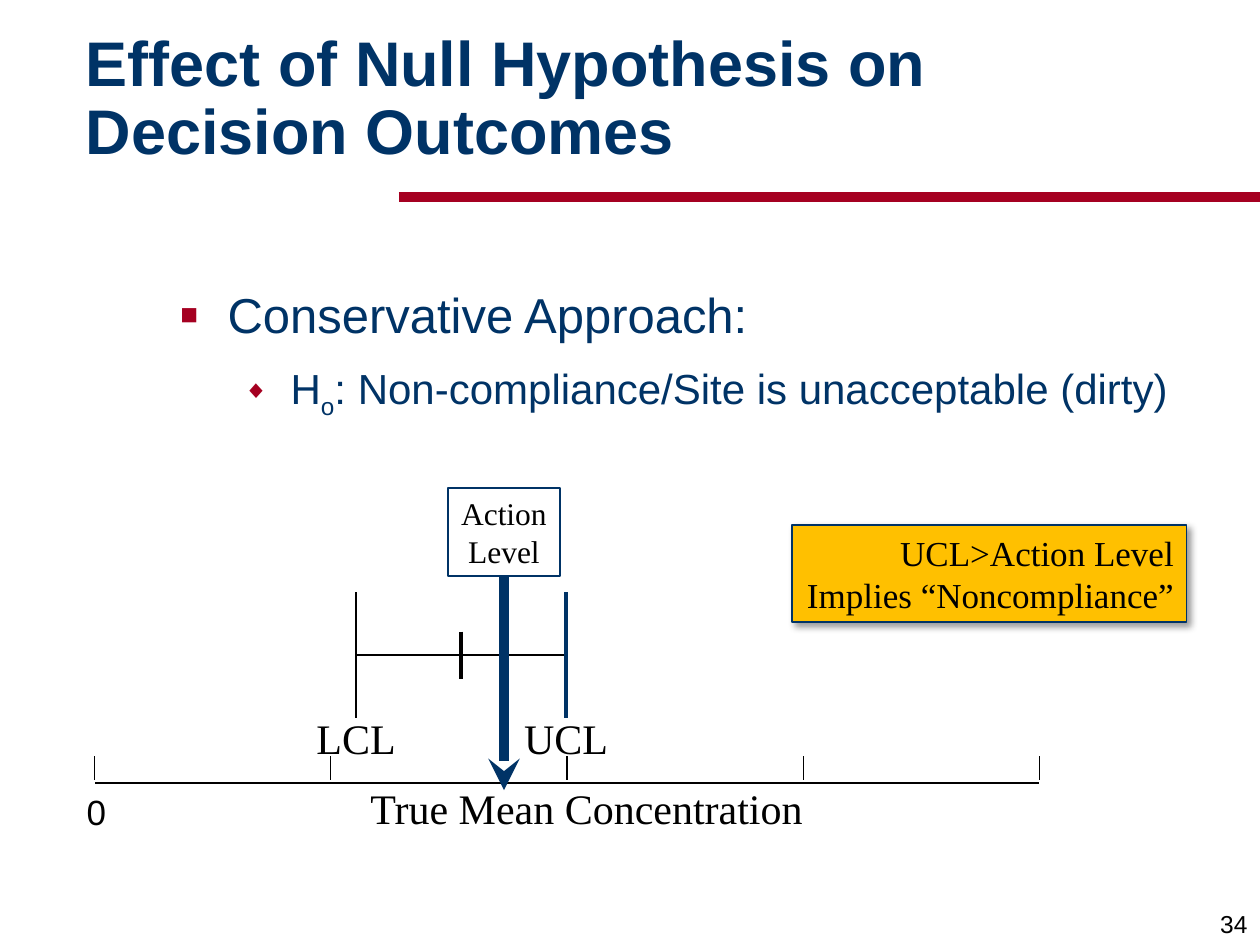
from lxml import etree
from pptx import Presentation
from pptx.dml.color import RGBColor
from pptx.enum.shapes import MSO_CONNECTOR, MSO_SHAPE
from pptx.enum.text import MSO_ANCHOR, PP_ALIGN
from pptx.oxml import parse_xml
from pptx.oxml.ns import qn
from pptx.util import Pt

STRAIGHT, RECTANGLE = MSO_CONNECTOR.STRAIGHT, MSO_SHAPE.RECTANGLE
LEFT, CENTER, RIGHT = PP_ALIGN.LEFT, PP_ALIGN.CENTER, PP_ALIGN.RIGHT
TOP, MIDDLE, BOTTOM = MSO_ANCHOR.TOP, MSO_ANCHOR.MIDDLE, MSO_ANCHOR.BOTTOM
SANS, SERIF = "Arial", "Times New Roman"
COLORS = {"navy": "003366", "red": "A50021", "gold": "FFC000",
          "ink": "010000", "black": "000000"}

deck = Presentation()
deck.slide_width, deck.slide_height = Pt(720), Pt(540)
page = deck.slides.add_slide(deck.slide_layouts[6])


def add_line(x1, y1, x2, y2, color="ink", width=1):
    line = page.shapes.add_connector(STRAIGHT, Pt(x1), Pt(y1), Pt(x2), Pt(y2))
    line.line.color.rgb = RGBColor.from_string(COLORS[color])
    line.line.width = Pt(width)
    etree.SubElement(line._element.spPr, qn("a:effectLst"))
    return line


def add_text(text, place, size, font=SERIF, color="black", align=CENTER,
             anchor=TOP, wrap=False, outlined=False):
    """Add a text box, or a rectangle with a navy outline and no fill."""
    place = [Pt(value) for value in place]
    if outlined:
        box = page.shapes.add_shape(RECTANGLE, *place)
        box.shadow.inherit = False
        box.fill.background()
        box.line.color.rgb = RGBColor.from_string(COLORS["navy"])
        box.line.width = Pt(1)
    else:
        box = page.shapes.add_textbox(*place)
    frame = box.text_frame
    frame.text = text
    frame.word_wrap = wrap
    frame.vertical_anchor = anchor
    for para in frame.paragraphs:
        para.alignment = align
        for span in para.runs:
            span.font.name, span.font.size = font, Pt(size)
            span.font.color.rgb = RGBColor.from_string(COLORS[color])
    return box


# Heading
add_line(228, 112.5, 720, 112.5, "red", 6)
title = add_text("Effect of Null Hypothesis on\vDecision Outcomes",
                 (42, 12, 642, 90), 36, SANS, "navy", LEFT, MIDDLE, wrap=True)
heading = title.text_frame.paragraphs[0]
heading.line_spacing = 0.9
for span in heading.runs:
    span.font.bold = True

# Bulleted statement of the hypothesis
body = add_text("Conservative Approach:\nH", (96, 159, 612, 90), 28,
                SANS, "navy", LEFT, wrap=True)
approach, hypothesis = body.text_frame.paragraphs
for text in ("o", ": Non-compliance/Site is unacceptable (dirty)"):
    hypothesis.add_run().text = text
for para, mark, indent in ((approach, "■", 27), (hypothesis, "◆", 63)):
    props = para._p.get_or_add_pPr()
    props.set("marL", str(Pt(indent)))
    props.set("indent", str(Pt(-27)))
    bullet_color = etree.SubElement(props, qn("a:buClr"))
    etree.SubElement(bullet_color, qn("a:srgbClr"), val=COLORS["red"])
    etree.SubElement(props, qn("a:buSzPct"), val="60000")
    etree.SubElement(props, qn("a:buFont"), typeface=SANS)
    etree.SubElement(props, qn("a:buChar"), char=mark)
hypothesis.level = 1
hypothesis.space_before = Pt(11)
for span in hypothesis.runs:
    span.font.name, span.font.size = SANS, Pt(24)
    span.font.color.rgb = RGBColor.from_string(COLORS["navy"])
hypothesis.runs[1].font._element.set("baseline", "-25000")

# Concentration axis
add_text("True Mean Concentration", (203.5, 443.5, 263.5, 36), 24)
add_line(54.5, 447.5, 593.5, 447.5)
for step in range(5):
    x = 54 + 135 * step
    add_line(x, 432, x, 446, "black", 0.75)
add_text("0", (42.5, 448, 25, 32), 20, SANS)

# Confidence interval
lower, upper = 203.5, 323.5
mean = (lower + upper) / 2
add_line(lower, 374.5, upper, 374.5)
add_line(mean, 361, mean, 388, width=2.25)
for label, x, color, width in (("LCL", lower, "ink", 1),
                               ("UCL", upper, "navy", 2)):
    add_line(x, 338.5, x, 410.5, color, width)
    add_text(label, (x - 36, 403.5, 72, 36), 24)

# Conclusion
conclusion = add_text("UCL>Action Level\nImplies “Noncompliance”",
                      (452.5, 300, 225.5, 55.5), 20, align=RIGHT,
                      anchor=TOP, outlined=True)
conclusion.fill.solid()
conclusion.fill.fore_color.rgb = RGBColor.from_string(COLORS["gold"])
effects = conclusion._element.spPr.find(qn("a:effectLst"))
shadow = etree.SubElement(effects, qn("a:outerShdw"), blurRad=str(Pt(4)),
                          dist=str(Pt(3)), dir="2700000", algn="tl")
shadow_color = etree.SubElement(shadow, qn("a:srgbClr"), val=COLORS["black"])
etree.SubElement(shadow_color, qn("a:alpha"), val="40000")

# Action level and its arrow to the axis
action = add_text("Action\nLevel", (256, 279, 64, 50), 18, outlined=True)
arrow = add_line(288, 329, 288, 451.5, "navy", 6)
arrow.begin_connect(action, 2)
etree.SubElement(arrow.line._get_or_add_ln(), qn("a:tailEnd"), type="stealth")

add_text("34", (570, 504, 150, 36), 14, SANS, align=RIGHT, anchor=BOTTOM)

deck.save("out.pptx")
